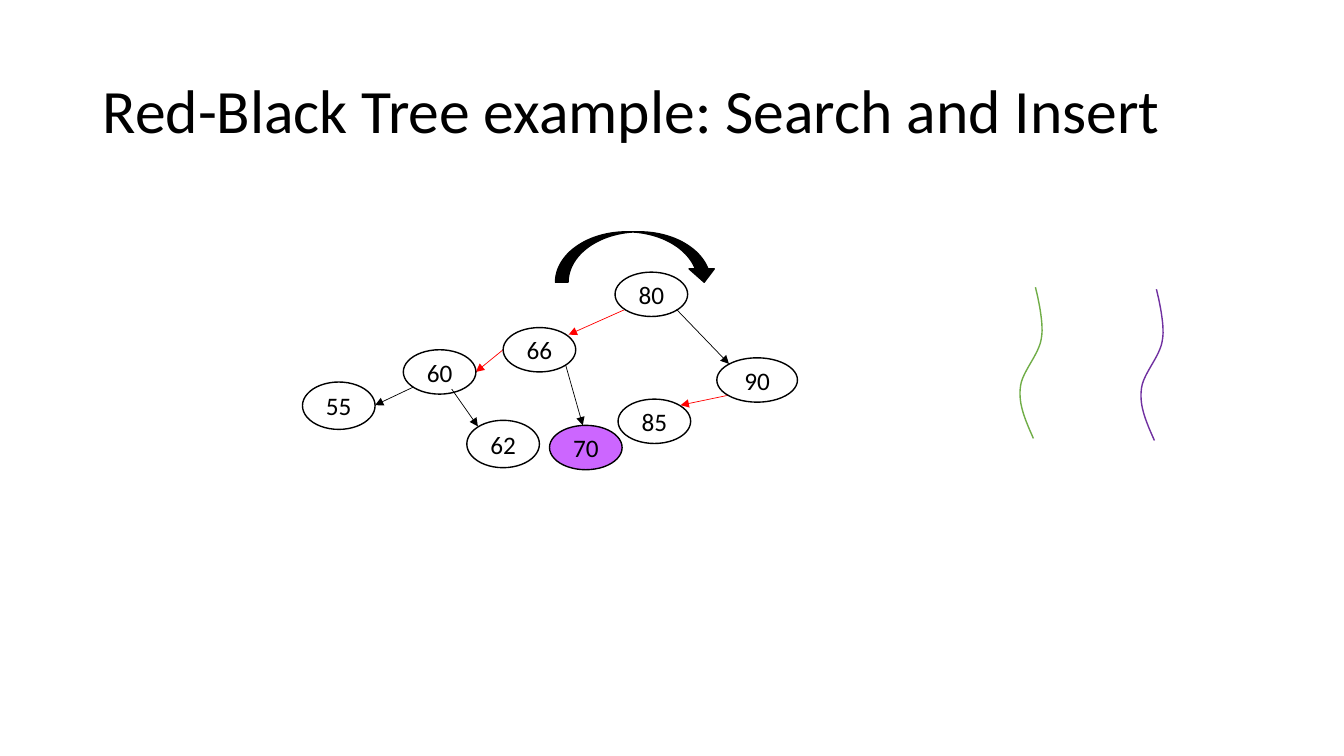
import pptx
import pptx.util
import pptx.dml.color
import pptx.enum.shapes
import pptx.enum.text
import pptx.oxml.ns
import lxml.etree

PX = 9144  # 100 px to the inch
BLACK, RED = "000000", "FF0000"
MSO_SHAPE = pptx.enum.shapes.MSO_SHAPE

# Tree nodes: label, left, top, width, height, fill
NODES = [
    ("66", 199, 95, 72, 44, None),
    ("80", 310, 40, 72, 44, None),
    ("90", 411, 125, 80, 44, None),
    ("85", 313, 166, 72, 44, None),
    ("55", 0, 149, 72, 47, None),
    ("60", 100, 117, 72, 44, None),
    ("62", 163, 187, 72, 47, None),
    ("70", 245, 192, 72, 44, "CC66FF"),
]

# Tree edges: start x, start y, end x, end y, colour
EDGES = [
    (320, 77, 264, 102, RED),
    (371, 77, 423, 131, BLACK),
    (423, 162, 375, 172, RED),
    (110, 154, 72, 172, BLACK),
    (261, 132, 278, 192, BLACK),
    (148, 156, 174, 193, BLACK),
    (199, 117, 172, 139, RED),
]

# Bezier points of a wavy strand: a start, then three points per curve
STRAND = [
    (13, 150),
    (6, 134), (-2, 117), (0, 100),
    (1, 84), (19, 67), (21, 50),
    (24, 34), (15, 0), (15, 0),
]


def px(*lengths):
    return [pptx.util.Emu(round(length * PX)) for length in lengths]


def color(value):
    return pptx.dml.color.RGBColor.from_string(value)


def set_line(line, value, width):
    line.color.rgb = color(value)
    line.width = pptx.util.Pt(width)


def set_fill(shape, value):
    if value is None:
        shape.fill.background()
    else:
        shape.fill.solid()
        shape.fill.fore_color.rgb = color(value)


def set_text(shape, text, size):
    frame = shape.text_frame
    frame.text = text
    frame.vertical_anchor = pptx.enum.text.MSO_ANCHOR.MIDDLE
    paragraph = frame.paragraphs[0]
    font = paragraph.runs[0].font
    font.name = "Calibri"
    font.size = pptx.util.Pt(size)
    font.color.rgb = color(BLACK)
    return paragraph


def add_title(slide, left, top, width, height):
    box = slide.shapes.add_textbox(*px(left, top, width, height))
    box.text_frame.word_wrap = True
    paragraph = set_text(box, "Red-Black Tree example: Search and Insert", 44)
    paragraph.line_spacing = 0.9


def add_outlined(slide, kind, box, fill):
    shape = slide.shapes.add_shape(kind, *px(*box))
    shape.shadow.inherit = False
    set_fill(shape, fill)
    set_line(shape.line, BLACK, 1)
    return shape


def add_edge(slide, start_x, start_y, end_x, end_y, value):
    edge = slide.shapes.add_connector(
        pptx.enum.shapes.MSO_CONNECTOR.STRAIGHT,
        *px(start_x, start_y, end_x, end_y))
    set_line(edge.line, value, 0.5)
    qn = pptx.oxml.ns.qn
    lxml.etree.SubElement(edge.line._get_or_add_ln(), qn("a:tailEnd"), type="triangle")
    lxml.etree.SubElement(edge._element.spPr, qn("a:effectLst"))


def add_tree(slide, left, top):
    # Edges
    for start_x, start_y, end_x, end_y, value in EDGES:
        add_edge(slide, left + start_x, top + start_y, left + end_x, top + end_y, value)

    # Nodes
    for label, x, y, width, height, fill in NODES:
        node = add_outlined(slide, MSO_SHAPE.OVAL, (left + x, top + y, width, height), fill)
        frame = node.text_frame
        frame.margin_left = frame.margin_right = 0
        frame.margin_top = frame.margin_bottom = 0
        frame.word_wrap = False
        set_text(node, label, 18).alignment = pptx.enum.text.PP_ALIGN.CENTER

    # Rotation arrow over the root
    arrow = add_outlined(slide, MSO_SHAPE.CURVED_DOWN_ARROW,
                         (left + 251, top, 160, 50), BLACK)
    for index, value in enumerate((0.25, 0.5, 0.264)):
        arrow.adjustments[index] = value


def bezier_point(controls, t):
    weights = ((1 - t) ** 3, 3 * t * (1 - t) ** 2, 3 * t * t * (1 - t), t ** 3)
    return [sum(weight * point[axis] for weight, point in zip(weights, controls))
            for axis in (0, 1)]


def add_strand(slide, left, top, value):
    steps = 16
    points = [STRAND[0]]
    for first in range(0, len(STRAND) - 1, 3):
        controls = STRAND[first:first + 4]
        points += [bezier_point(controls, step / steps) for step in range(1, steps + 1)]
    vertices = [tuple(px(left + x, top + y)) for x, y in points]
    builder = slide.shapes.build_freeform(*vertices[0])
    builder.add_line_segments(vertices[1:], close=False)
    strand = builder.convert_to_shape()
    strand.shadow.inherit = False
    set_fill(strand, None)
    set_line(strand.line, value, 1)


def main():
    presentation = pptx.Presentation()
    presentation.slide_width, presentation.slide_height = px(1333, 750)
    slide = presentation.slides.add_slide(presentation.slide_layouts[6])
    add_title(slide, 92, 40, 1150, 145)
    add_tree(slide, 300, 230)
    add_strand(slide, 1012, 285, "70AD47")
    add_strand(slide, 1132, 287, "7030A0")
    presentation.save("out.pptx")


if __name__ == "__main__":
    main()
